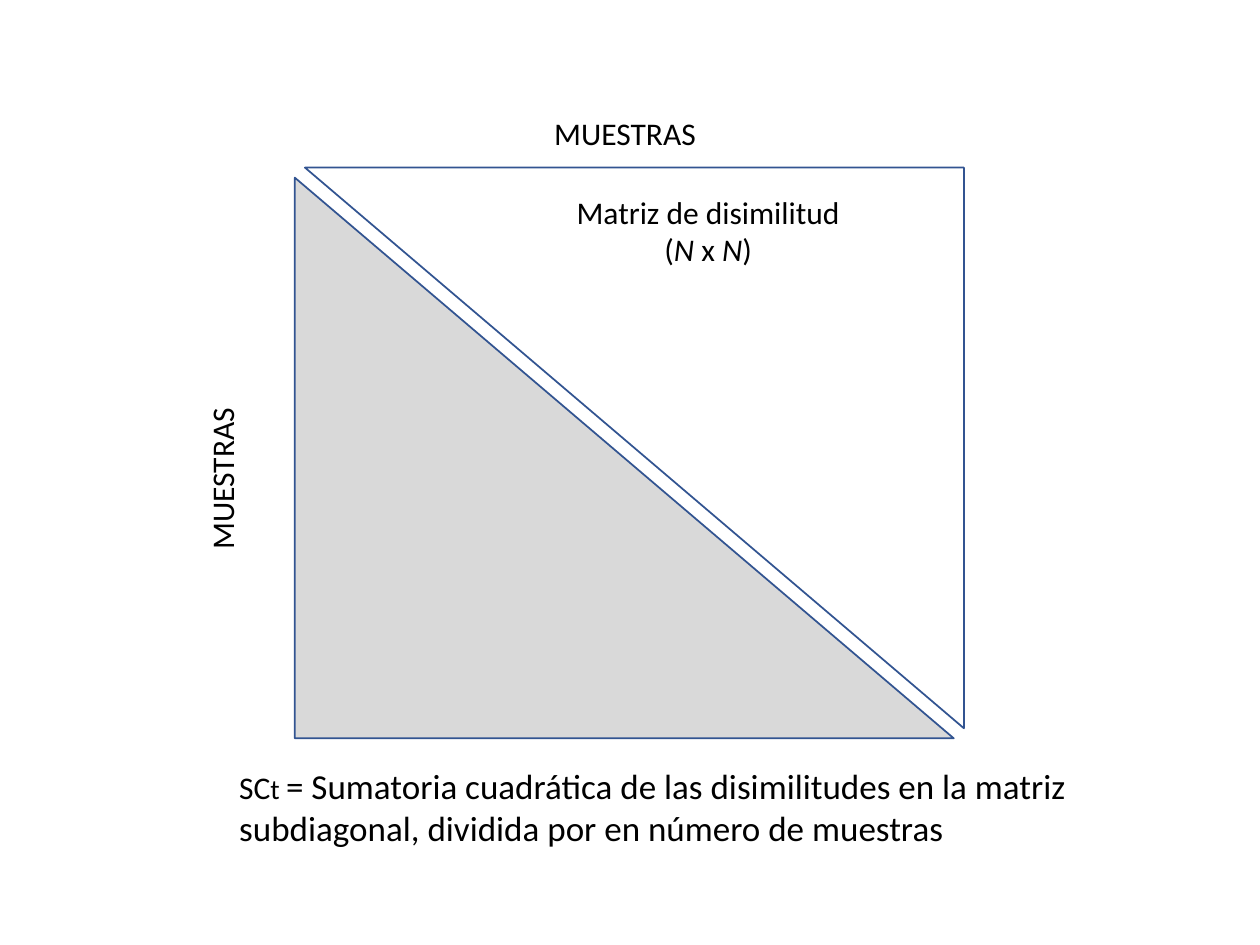
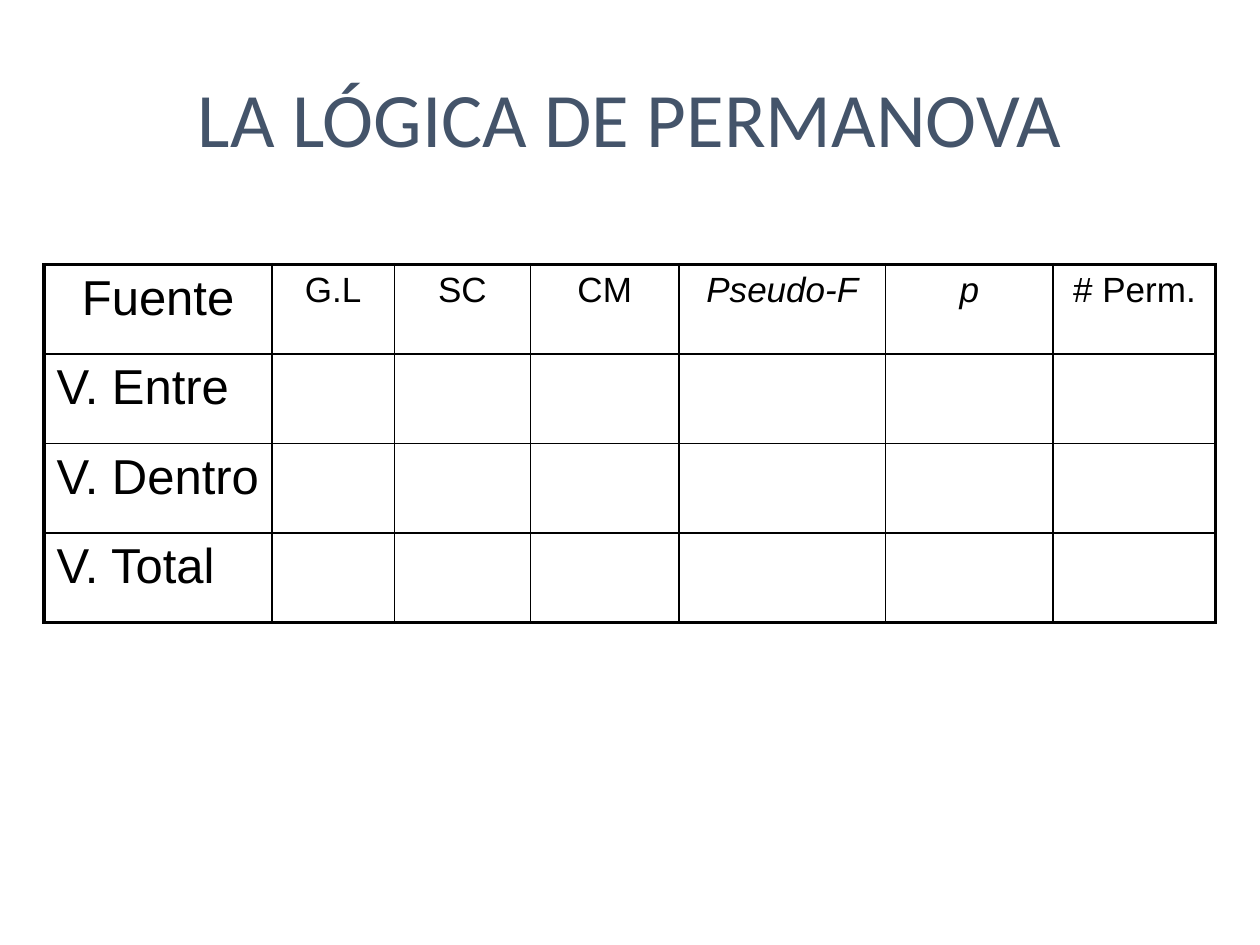
import pptx
import pptx.util
import pptx.dml.color
import pptx.enum.shapes
import pptx.enum.text
import pptx.oxml.ns
from lxml import etree

Inches = pptx.util.Inches
Pt = pptx.util.Pt
ALIGN = pptx.enum.text.PP_ALIGN
COLORS = {"text": "000000", "title": "44546A", "edge": "325491",
          "lower": "D9D9D9", "upper": "FFFFFF"}
BODY, GRID = "Calibri", "Arial"


def color(name):
    return pptx.dml.color.RGBColor.from_string(COLORS[name])


def style(para, size, face=BODY, align=ALIGN.LEFT, tint="text"):
    para.alignment = align
    para.font.size = Pt(size)
    para.font.name = face
    para.font.color.rgb = color(tint)


def add_text(slide, box, lines, size=18, align=ALIGN.LEFT, tint="text"):
    frame = slide.shapes.add_textbox(*map(Inches, box)).text_frame
    frame.word_wrap = True
    for row, runs in enumerate(lines):
        para = frame.paragraphs[0] if row == 0 else frame.add_paragraph()
        style(para, size, align=align, tint=tint)
        for text, look in runs:
            run = para.add_run()
            run.text = text
            for key, value in look.items():
                setattr(run.font, key, value)
    return frame


def add_half(slide, box, fill, turn=0):
    kind = pptx.enum.shapes.MSO_SHAPE.RIGHT_TRIANGLE
    half = slide.shapes.add_shape(kind, *map(Inches, box))
    half.shadow.inherit = False
    half.rotation = turn
    half.fill.solid()
    half.fill.fore_color.rgb = color(fill)
    half.line.color.rgb = color("edge")
    half.line.width = Pt(1)


def add_matrix(slide, left, top, width, height):
    gap = 0.08
    size = width - gap, height - gap
    add_half(slide, (left, top + gap, *size), "lower")
    add_half(slide, (left + gap, top, *size), "upper", 180)
    label = [[("MUESTRAS", {})]]
    add_text(slide, (left + 1.96, top - 0.47, 1.56, 0.4), label)
    side = add_text(slide, (left - 0.78, top + 1.79, 0.5, 1.34), label)
    body = side._txBody.find(pptx.oxml.ns.qn("a:bodyPr"))
    body.set("vert", "vert270")
    slant = {"italic": True}
    add_text(slide, (left + 1.64, top + 0.15, 3.28, 0.71), [
        [("Matriz de disimilitud", {})],
        [("(", {}), ("N", slant), (" x ", {}), ("N", slant), (")", {})],
    ], align=ALIGN.CENTER)
    add_text(slide, (left - 0.54, top + height + 0.16, 7.19, 0.77), [[
        ("SC", {"size": Pt(18)}),
        ("t ", {"size": Pt(16)}),
        ("= Sumatoria cuadrática de las disimilitudes en la matriz "
         "subdiagonal, dividida por en número de muestras", {}),
    ]], size=20)


def add_title(slide, box, text):
    frame = add_text(slide, box, [[(text, {})]], 44, ALIGN.CENTER, "title")
    frame.vertical_anchor = pptx.enum.text.MSO_ANCHOR.MIDDLE


def set_edges(cell, thick):
    props = cell._tc.get_or_add_tcPr()
    for spot, side in enumerate("LRTB"):
        line = etree.Element(pptx.oxml.ns.qn("a:ln" + side))
        line.set("w", str(Pt(2.25 if side in thick else 1)))
        fill = etree.SubElement(line, pptx.oxml.ns.qn("a:solidFill"))
        tint = etree.SubElement(fill, pptx.oxml.ns.qn("a:srgbClr"))
        tint.set("val", COLORS["text"])
        props.insert(spot, line)


def add_grid(slide, left, top, widths, step, heads, names):
    rows, cols = len(names) + 1, len(widths)
    box = left, top, sum(widths), step * rows
    grid = slide.shapes.add_table(rows, cols, *map(Inches, box)).table
    grid.first_row = grid.horz_banding = False
    for col, width in zip(grid.columns, widths):
        col.width = Inches(width)
    for row in range(rows):
        grid.rows[row].height = Inches(step)
        for col in range(cols):
            cell = grid.cell(row, col)
            cell.fill.background()
            outer = {"L": col == 0, "R": col == cols - 1,
                     "T": row == 0, "B": row == rows - 1}
            set_edges(cell, [side for side in outer if outer[side]])
            if row == 0:
                cell.text = heads[col]
            elif col == 0:
                cell.text = names[row - 1]
            para = cell.text_frame.paragraphs[0]
            style(para, 28 if col == 0 else 20, GRID,
                  ALIGN.CENTER if row == 0 else ALIGN.LEFT)
            if cell.text in ("Pseudo-F", "p"):
                para.font.italic = True


def main():
    deck = pptx.Presentation()
    deck.slide_width, deck.slide_height = Inches(10), Inches(7.5)
    blank = deck.slide_layouts[6]
    add_matrix(deck.slides.add_slide(blank), 2.34, 1.33, 5.31, 4.53)
    slide = deck.slides.add_slide(blank)
    add_title(slide, (0.5, 0.3, 9, 1.25), "LA LÓGICA DE PERMANOVA")
    add_grid(slide, 0.35, 2.1, [1.81, 0.97, 1.08, 1.18, 1.64, 1.33, 1.29],
             0.71, ["Fuente", "G.L", "SC", "CM", "Pseudo-F", "p", "# Perm."],
             ["V. Entre", "V. Dentro", "V. Total"])
    deck.save("out.pptx")


if __name__ == "__main__":
    main()
